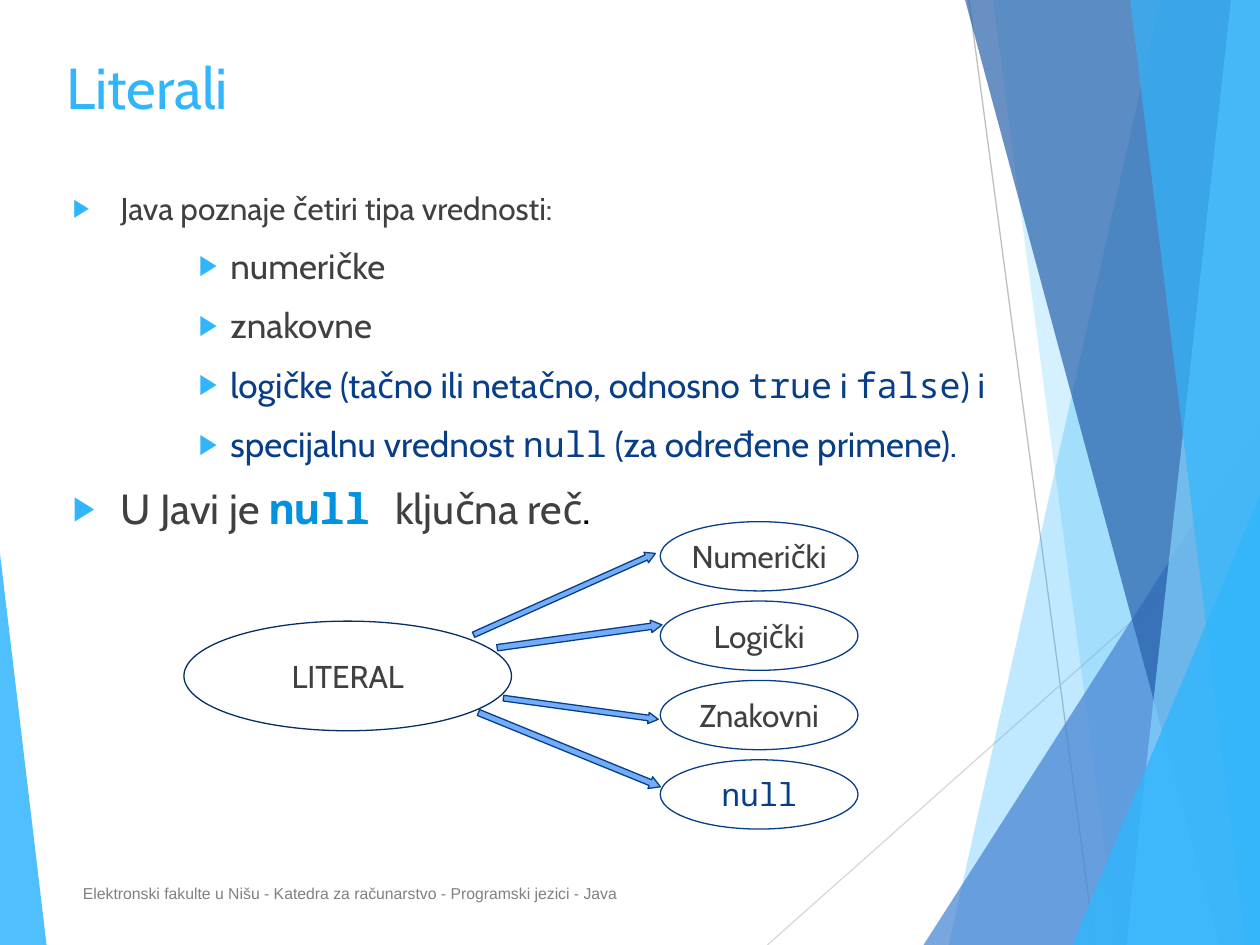
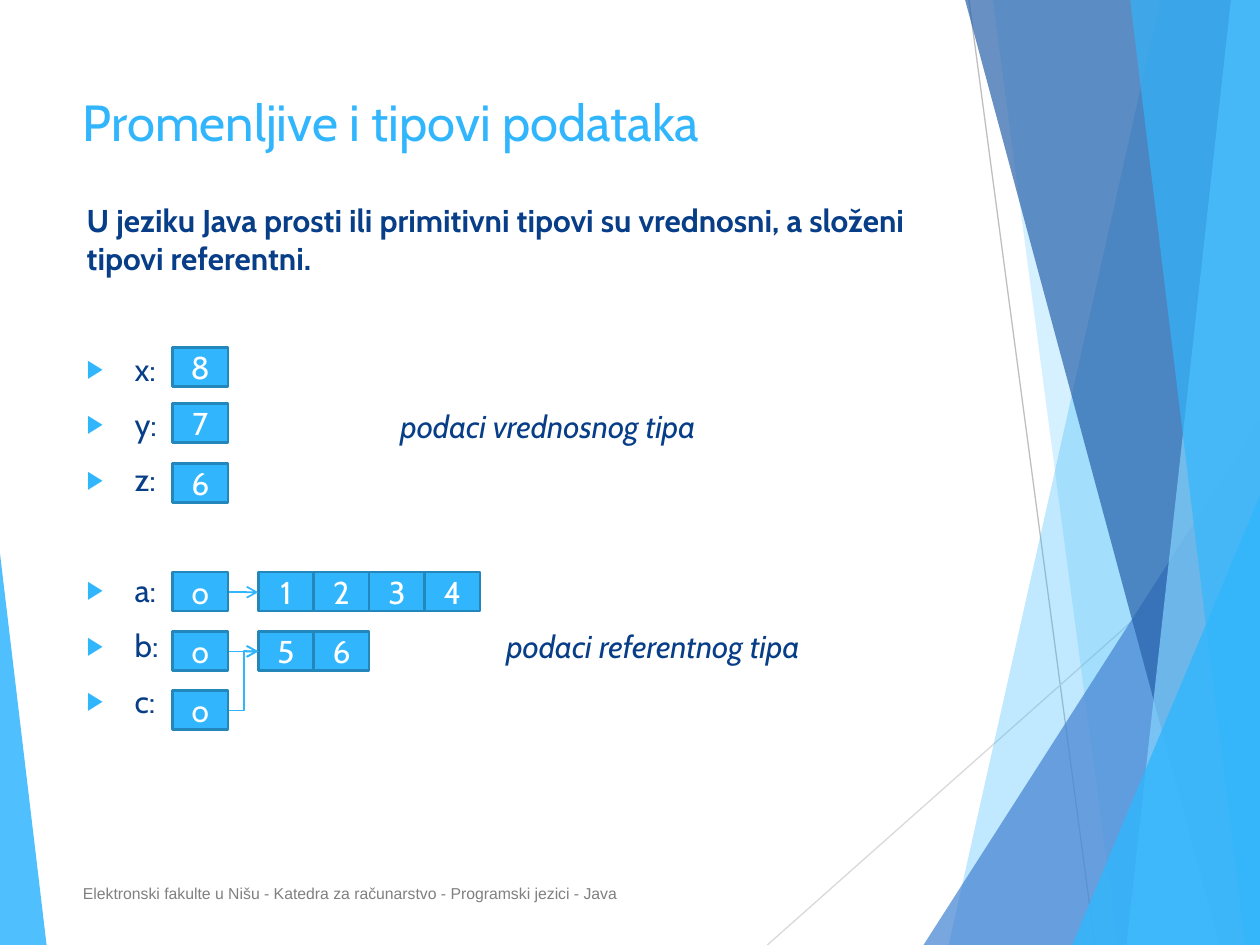
import dataclasses
import typing

import lxml.etree
import pptx
import pptx.dml.color
import pptx.enum.shapes
import pptx.enum.text
import pptx.oxml.ns
import pptx.util

HUES = {
    "sky": "31B6FD", "pale": "83D3FE", "blue": "4584D3", "deep": "2862AA",
    "navy": "073E87", "ink": "052E65", "edge": "2487BB", "arrow": "73ACF8",
    "key": "0293E0", "text": "404040", "black": "000000", "white": "FFFFFF",
    "foot": "808080", "grey": "BFBFBF", "light": "D9D9D9",
}
SANS, MONO = "Cabin", "Noto Sans Mono"
FOOT = "Elektronski fakulte u Nišu - Katedra za računarstvo - Programski jezici - Java"
FORMS = pptx.enum.shapes.MSO_SHAPE
LINKS = pptx.enum.shapes.MSO_CONNECTOR
MIDDLE = pptx.enum.text.MSO_ANCHOR.MIDDLE
Inches = pptx.util.Inches
Box = tuple[float, float, float, float]
Point = tuple[float, float]


@dataclasses.dataclass(frozen=True)
class Run:
    text: str
    size: float = 18
    hue: str = "navy"
    font: str = SANS
    bold: bool = False
    slant: bool = False


@dataclasses.dataclass(frozen=True)
class Para:
    runs: tuple[Run, ...]
    level: int = 0
    space: float = 10
    mark: bool = True


@dataclasses.dataclass(frozen=True)
class Panel:
    points: tuple[Point, ...]
    hue: str
    alpha: int


@dataclasses.dataclass(frozen=True)
class Wedge:
    box: Box
    lean: float
    hue: str
    alpha: int


@dataclasses.dataclass(frozen=True)
class Oval:
    box: Box
    run: Run
    edge: str = "navy"


@dataclasses.dataclass(frozen=True)
class Arrow:
    box: Box
    turn: float


@dataclasses.dataclass(frozen=True)
class Row:
    top: float
    value: str
    items: str = ""


def panel(top: float, foot: float, hue: str, alpha: int) -> Panel:
    return Panel(((top, 0), (10, 0), (10, 7.5), (foot, 7.5)), hue, alpha)


FACETS = (
    panel(9.21, 7.53, "sky", 30),
    panel(7.88, 8.87, "sky", 20),
    Wedge((7.33, 3.33, 2.67, 4.17), 1, "blue", 72),
    panel(7.66, 9.68, "deep", 70),
    panel(9.77, 8.94, "pale", 70),
    panel(8.97, 9.88, "sky", 65),
    Wedge((8.51, 3.93, 1.49, 3.57), 1, "sky", 80),
    Wedge((0, 4.39, 0.37, 3.11), 0, "sky", 85),
)


def tint(hue: str) -> pptx.dml.color.RGBColor:
    return pptx.dml.color.RGBColor.from_string(HUES[hue])


def child(node: typing.Any, tag: str, **attrs: str) -> typing.Any:
    part = lxml.etree.SubElement(node, pptx.oxml.ns.qn(tag))
    for name, value in attrs.items():
        part.set(name, value)
    return part


def paint(shape: typing.Any, fill: str = "", edge: str = "",
          width: float = 0.75, alpha: int = 100) -> None:
    shape.shadow.inherit = False
    if fill:
        shape.fill.solid()
        shape.fill.fore_color.rgb = tint(fill)
    else:
        shape.fill.background()
    if alpha < 100:
        for color in shape._element.spPr.iter(pptx.oxml.ns.qn("a:srgbClr")):
            child(color, "a:alpha", val=str(alpha * 1000))
    if edge:
        shape.line.color.rgb = tint(edge)
        shape.line.width = pptx.util.Pt(width)
    else:
        shape.line.fill.background()


def write(para: typing.Any, runs: tuple[Run, ...]) -> None:
    for item in runs:
        run = para.add_run()
        run.text = item.text
        run.font.size = pptx.util.Pt(item.size)
        run.font.name = item.font
        run.font.bold = item.bold
        run.font.italic = item.slant
        run.font.color.rgb = tint(item.hue)


def bullet(para: typing.Any, level: int) -> None:
    left, hang = (1.25, 0.25) if level else (0.38, 0.38)
    para.level = level
    props = para._p.get_or_add_pPr()
    props.set("marL", str(Inches(left)))
    props.set("indent", str(-Inches(hang)))
    child(child(props, "a:buClr"), "a:srgbClr", val=HUES["sky"])
    child(props, "a:buSzPct", val="80000")
    child(props, "a:buFont", typeface="Arial")
    child(props, "a:buChar", char="▶")


def place(box: Box) -> list[pptx.util.Length]:
    return [Inches(side) for side in box]


def label(slide: typing.Any, box: Box, *paras: Para, middle: bool = False) -> None:
    frame = slide.shapes.add_textbox(*place(box)).text_frame
    frame.word_wrap = True
    if middle:
        frame.vertical_anchor = MIDDLE
    for index, item in enumerate(paras):
        para = frame.add_paragraph() if index else frame.paragraphs[0]
        if index:
            para.space_before = pptx.util.Pt(item.space)
        if item.mark:
            bullet(para, item.level)
        write(para, item.runs)


def plain(*runs: Run) -> Para:
    return Para(runs, mark=False)


def center(shape: typing.Any, run: Run, wrap: bool) -> None:
    frame = shape.text_frame
    frame.word_wrap = wrap
    frame.vertical_anchor = MIDDLE
    para = frame.paragraphs[0]
    para.alignment = pptx.enum.text.PP_ALIGN.CENTER
    write(para, (run,))


def link(slide: typing.Any, start: Point, end: Point, hue: str,
         width: float = 0.75, head: bool = False, bent: bool = False) -> None:
    kind = LINKS.ELBOW if bent else LINKS.STRAIGHT
    line = slide.shapes.add_connector(kind, *[Inches(side) for side in start + end])
    line.line.color.rgb = tint(hue)
    line.line.width = pptx.util.Pt(width)
    if head:
        child(line.line._get_or_add_ln(), "a:tailEnd", type="arrow")
    child(line._element.spPr, "a:effectLst")


def facet(slide: typing.Any, item: Panel | Wedge) -> None:
    if isinstance(item, Wedge):
        shape = slide.shapes.add_shape(FORMS.ISOSCELES_TRIANGLE, *place(item.box))
        shape.adjustments[0] = item.lean
    else:
        first, *rest = [(Inches(x), Inches(y)) for x, y in item.points]
        path = slide.shapes.build_freeform(*first)
        path.add_line_segments(rest, close=True)
        shape = path.convert_to_shape()
    paint(shape, item.hue, alpha=item.alpha)


def begin(deck: typing.Any, title: str, box: Box, size: float) -> typing.Any:
    slide = deck.slides.add_slide(deck.slide_layouts[6])
    link(slide, (7.69, 0), (8.69, 7.5), "grey")
    link(slide, (10, 4.03), (6.09, 7.5), "light")
    for item in FACETS:
        facet(slide, item)
    label(slide, box, plain(Run(title, size, "sky")))
    label(slide, (0.56, 6.89, 7.05, 0.4), plain(Run(FOOT, 9, "foot", "Arial")), middle=True)
    return slide


def oval(slide: typing.Any, item: Oval) -> None:
    shape = slide.shapes.add_shape(FORMS.OVAL, *place(item.box))
    paint(shape, edge=item.edge)
    center(shape, item.run, False)


def arrow(slide: typing.Any, item: Arrow) -> None:
    shape = slide.shapes.add_shape(FORMS.RIGHT_ARROW, *place(item.box))
    shape.adjustments[0], shape.adjustments[1] = 0.5, 0.87
    shape.rotation = item.turn
    paint(shape, "arrow", "navy")


def cell(slide: typing.Any, left: float, top: float, value: str) -> None:
    shape = slide.shapes.add_shape(FORMS.RECTANGLE, *place((left, top, 0.44, 0.31)))
    paint(shape, "sky", "edge", 1.5)
    center(shape, Run(value, hue="white"), True)


def kinds(deck: typing.Any) -> None:
    slide = begin(deck, "Literali", (0.43, 0.36, 8.12, 0.95), 33)

    def word(text: str, hue: str = "navy") -> Run:
        return Run(text, 20, hue)

    def code(text: str) -> Run:
        return Run(text, 20, font=MONO)

    label(
        slide, (0.48, 1.45, 8.12, 4.65),
        Para((Run("Java poznaje četiri tipa vrednosti:", hue="text"),)),
        Para((word("numeričke", "text"),), 2),
        Para((word("znakovne", "text"),), 2),
        Para((word("logičke (tačno ili netačno, odnosno "), code("true"), word(" i "),
              code("false"), word(") i")), 2),
        Para((word("specijalnu vrednost "), code("null"), word(" (za određene primene).")), 2),
        Para((Run("U Javi je ", 24, "text"), Run("null ", 24, "key", MONO, True),
              Run("ključna reč", 24, "text"), Run(".", 24, "black"))),
    )
    oval(slide, Oval((1.46, 4.93, 2.6, 0.87), Run("LITERAL", hue="text"), "ink"))
    leaves = [Run(name, hue="text") for name in ("Numerički", "Logički", "Znakovni")]
    leaves.append(Run("null", font=MONO))
    for index, run in enumerate(leaves):
        oval(slide, Oval((5.24, 4.14 + 0.63 * index, 1.57, 0.55), run))
    for item in (
        Arrow((3.99, 5.58, 1.24, 0.09), 7.8),
        Arrow((3.74, 5.9, 1.56, 0.1), 22.2),
        Arrow((3.94, 5, 1.32, 0.1), 352.1),
        Arrow((3.69, 4.67, 1.58, 0.09), 335.9),
    ):
        arrow(slide, item)


def types(deck: typing.Any) -> None:
    slide = begin(deck, "Promenljive i tipovi podataka", (0.56, 0.67, 7.05, 0.8), 29)
    lead = Run("U jeziku Java prosti ili primitivni tipovi su vrednosni, "
               "a složeni tipovi referentni.", bold=True)
    names = [Para((Run(f"{name}:"),), space=41.6 if name in "xa" else 10)
             for name in "xyzabc"]
    label(slide, (0.59, 1.55, 6.94, 4.73), plain(lead), *names)
    for left, top, kind in ((3.08, 3.18, "vrednosnog"), (3.92, 4.93, "referentnog")):
        label(slide, (left, top, 3, 0.4),
              plain(Run(f"podaci {kind} tipa", slant=True)), middle=True)
    for row in (
        Row(2.76, "8"), Row(3.2, "7"), Row(3.68, "6"),
        Row(4.54, "o", "1234"), Row(5.01, "o", "56"), Row(5.48, "o"),
    ):
        cell(slide, 1.37, row.top, row.value)
        for index, value in enumerate(row.items):
            cell(slide, 2.05 + 0.44 * index, row.top, value)
        if row.items:
            level = row.top + 0.16
            link(slide, (1.82, level), (2.05, level), "sky", 1, head=True)
    link(slide, (1.82, 5.64), (2.05, 5.17), "sky", 1, head=True, bent=True)


def main() -> None:
    deck = pptx.Presentation()
    deck.slide_width, deck.slide_height = Inches(10), Inches(7.5)
    kinds(deck)
    types(deck)
    deck.save("out.pptx")


if __name__ == "__main__":
    main()
